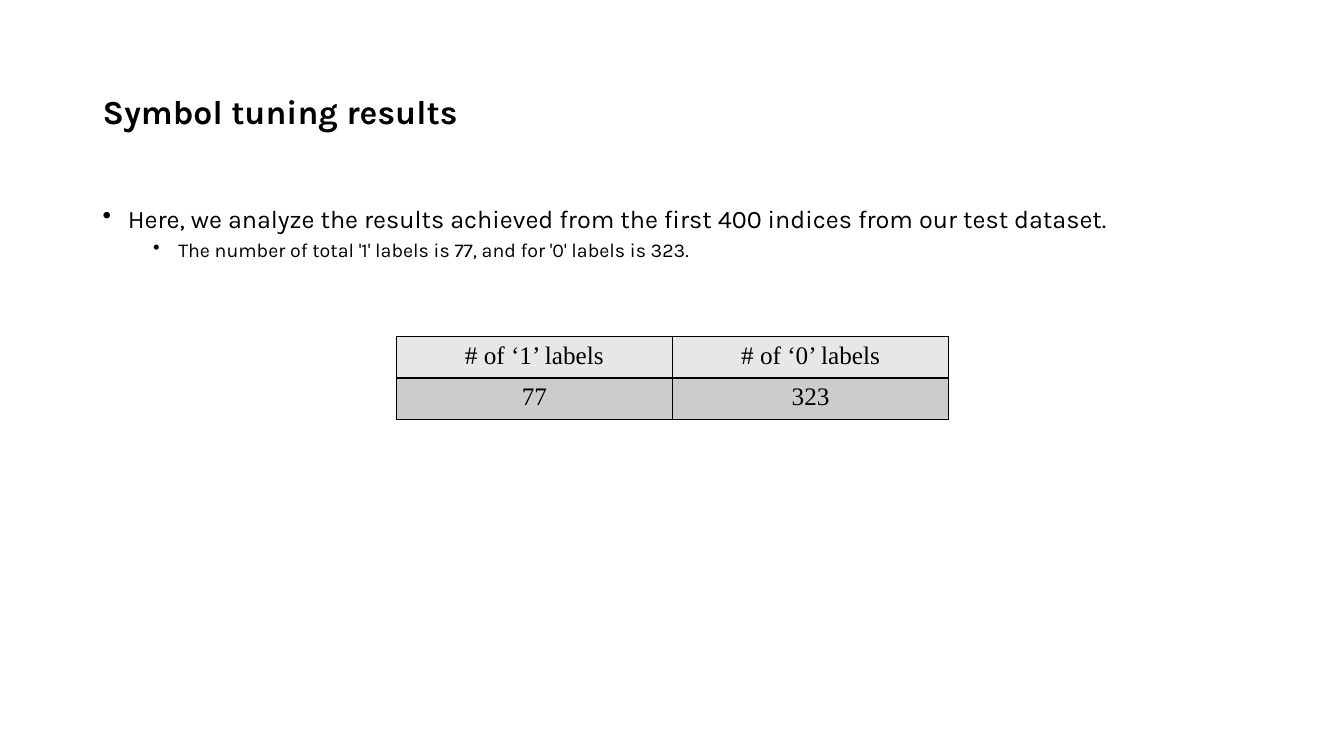
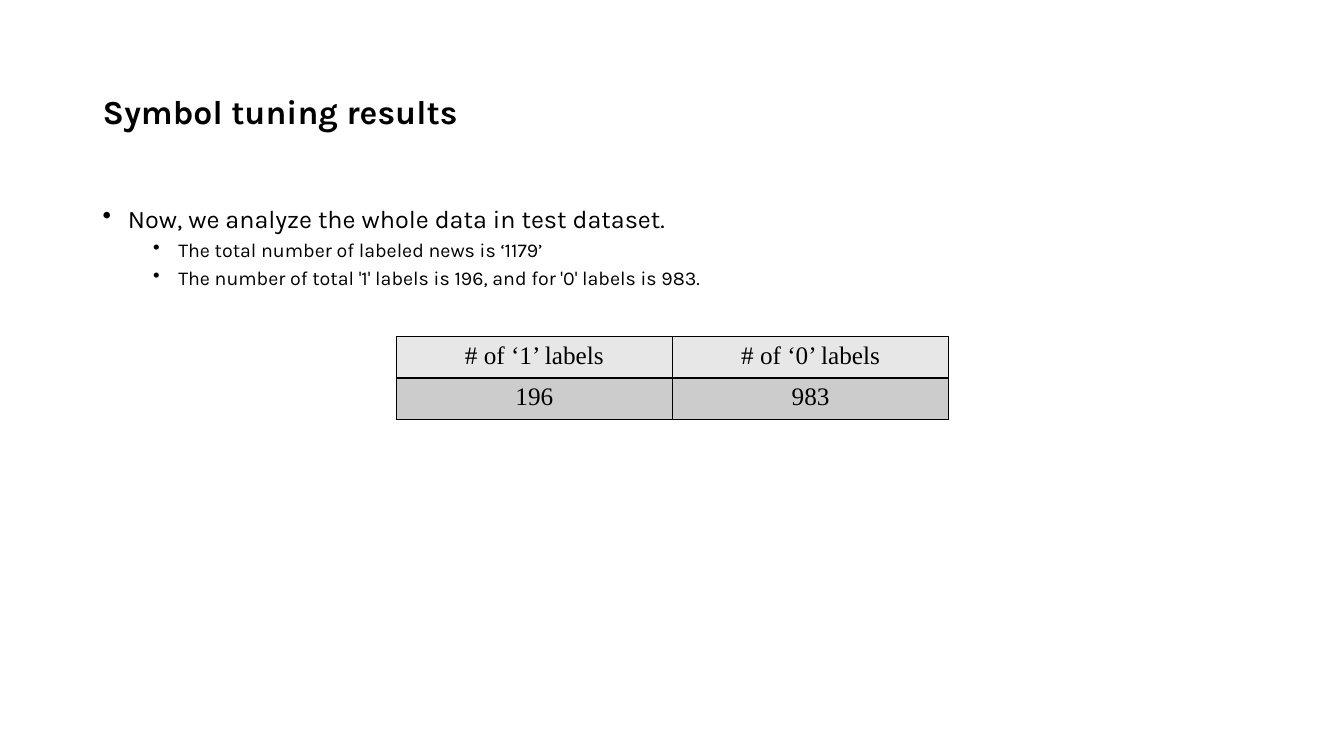
from lxml.etree import SubElement
from pptx import Presentation
from pptx.dml.color import RGBColor
from pptx.enum.text import MSO_ANCHOR, PP_ALIGN
from pptx.oxml.ns import qn
from pptx.util import Inches, Pt

COLORS = {"text": "000000", "border": "000000", "header": "E7E7E7", "value": "CCCCCC"}
BODY_FONT = "Karla"
TABLE_FONT = "Times New Roman"
TITLE = "Symbol tuning results"
TABLE_HEADER = ("# of ‘1’ labels", "# of ‘0’ labels")
LEFT, WIDTH = 0.92, 11.5
COLUMN_WIDTH, ROW_HEIGHT = 2.74, 0.41
BULLET_HANG = 0.25
# Text size, left margin and space before for each bullet level
BULLET_LEVELS = ((18, 0.25, 10), (14, 0.75, 5))

SLIDES = (
    (
        (
            (0, "Here, we analyze the results achieved from the first 400 indices from our test dataset."),
            (1, "The number of total '1' labels is 77, and for '0' labels is 323."),
        ),
        ("77", "323"),
    ),
    (
        (
            (0, "Now, we analyze the whole data in test dataset."),
            (1, "The total number of labeled news is ‘1179’"),
            (1, "The number of total '1' labels is 196, and for '0' labels is 983."),
        ),
        ("196", "983"),
    ),
)


def set_font(paragraph, name, size, bold=False):
    font = paragraph.font
    font.name = name
    font.size = Pt(size)
    font.bold = bold
    font.color.rgb = RGBColor.from_string(COLORS["text"])


def add_text_frame(page, top, height, anchor):
    box = page.shapes.add_textbox(Inches(LEFT), Inches(top), Inches(WIDTH), Inches(height))
    frame = box.text_frame
    frame.word_wrap = True
    frame.vertical_anchor = anchor
    return frame


def add_title(page):
    para = add_text_frame(page, 0.4, 1.45, MSO_ANCHOR.MIDDLE).paragraphs[0]
    para.text = TITLE
    para.line_spacing = 0.9
    set_font(para, BODY_FONT, 24, bold=True)


def set_bullet(para, margin):
    properties = para._p.get_or_add_pPr()
    properties.set("marL", str(Inches(margin)))
    properties.set("indent", str(-Inches(BULLET_HANG)))
    SubElement(properties, qn("a:buChar"), char="•")


def add_bullets(page, bullets):
    frame = add_text_frame(page, 2, 4.76, MSO_ANCHOR.TOP)
    for index, (level, text) in enumerate(bullets):
        para = frame.add_paragraph() if index else frame.paragraphs[0]
        size, margin, space_before = BULLET_LEVELS[level]
        para.text = text
        para.level = level
        para.line_spacing = 0.9
        if index:
            para.space_before = Pt(space_before)
        set_bullet(para, margin)
        set_font(para, BODY_FONT, size)


def set_borders(cell):
    properties = cell._tc.get_or_add_tcPr()
    for side in ("lnL", "lnR", "lnT", "lnB"):
        line = SubElement(properties, qn(f"a:{side}"), w=str(Pt(1)))
        fill = SubElement(line, qn("a:solidFill"))
        SubElement(fill, qn("a:srgbClr"), val=COLORS["border"])


def fill_cell(cell, text, color):
    set_borders(cell)
    cell.fill.solid()
    cell.fill.fore_color.rgb = RGBColor.from_string(color)
    para = cell.text_frame.paragraphs[0]
    para.text = text
    para.alignment = PP_ALIGN.CENTER
    set_font(para, TABLE_FONT, 18)


def add_label_table(page, counts):
    rows = ((TABLE_HEADER, COLORS["header"]), (counts, COLORS["value"]))
    table = page.shapes.add_table(
        len(rows), len(TABLE_HEADER), Inches(3.93), Inches(3.34),
        Inches(COLUMN_WIDTH * len(TABLE_HEADER)), Inches(ROW_HEIGHT * len(rows)),
    ).table
    for row_index, (texts, color) in enumerate(rows):
        for column_index, text in enumerate(texts):
            fill_cell(table.cell(row_index, column_index), text, color)


def main():
    deck = Presentation()
    deck.slide_width, deck.slide_height = Inches(13.33), Inches(7.5)
    for bullets, counts in SLIDES:
        page = deck.slides.add_slide(deck.slide_layouts[6])
        add_title(page)
        add_bullets(page, bullets)
        add_label_table(page, counts)
    deck.save("out.pptx")


if __name__ == "__main__":
    main()
